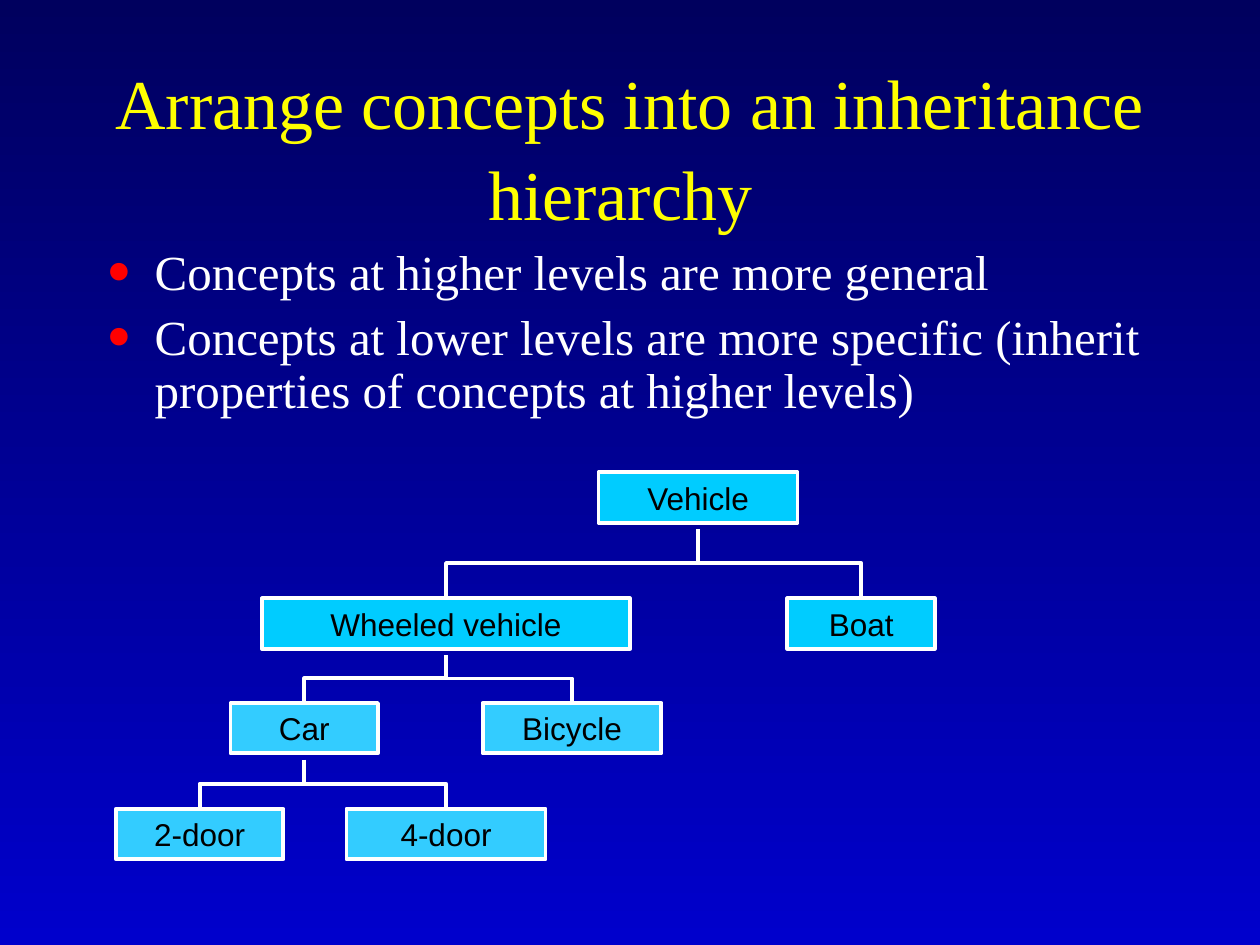
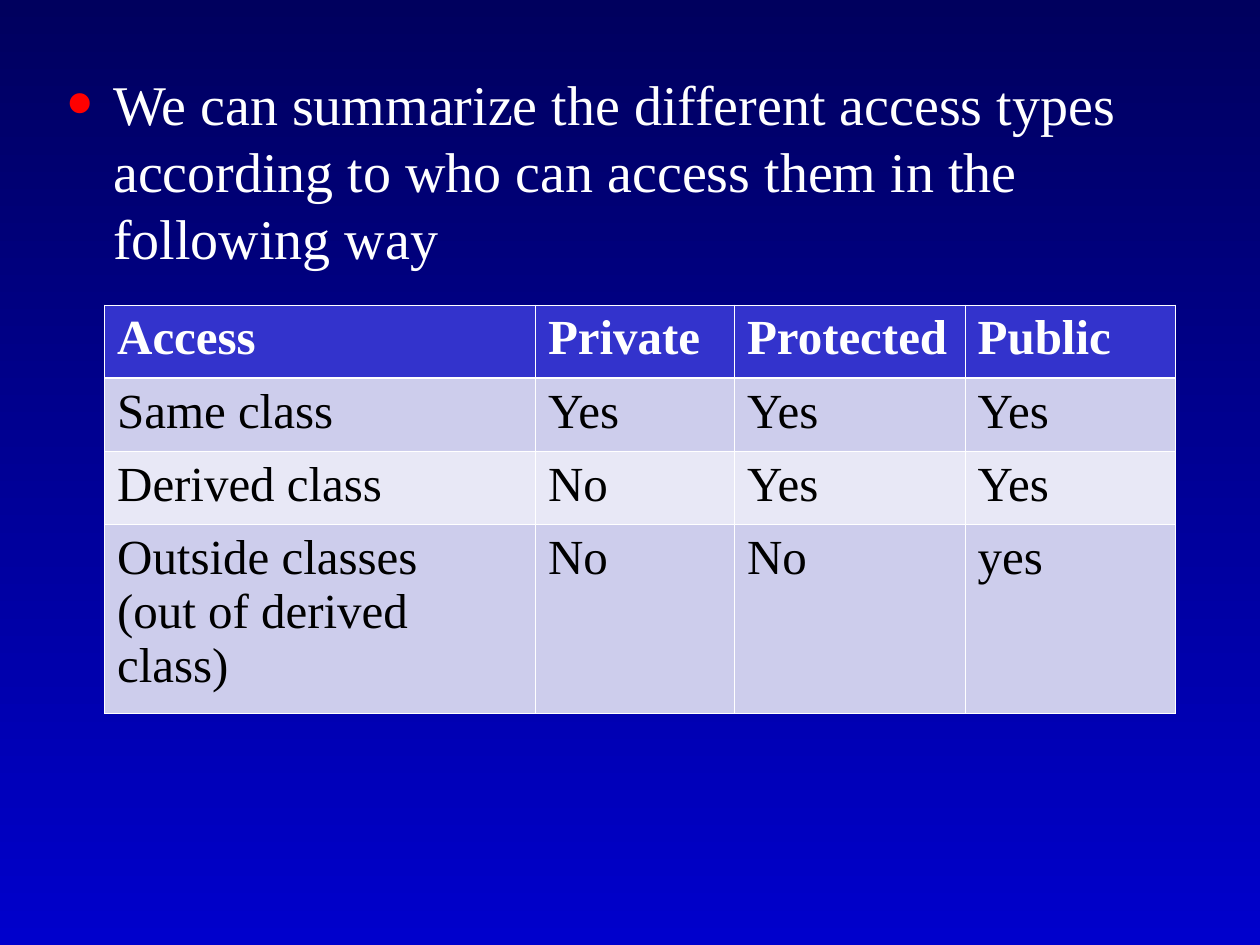
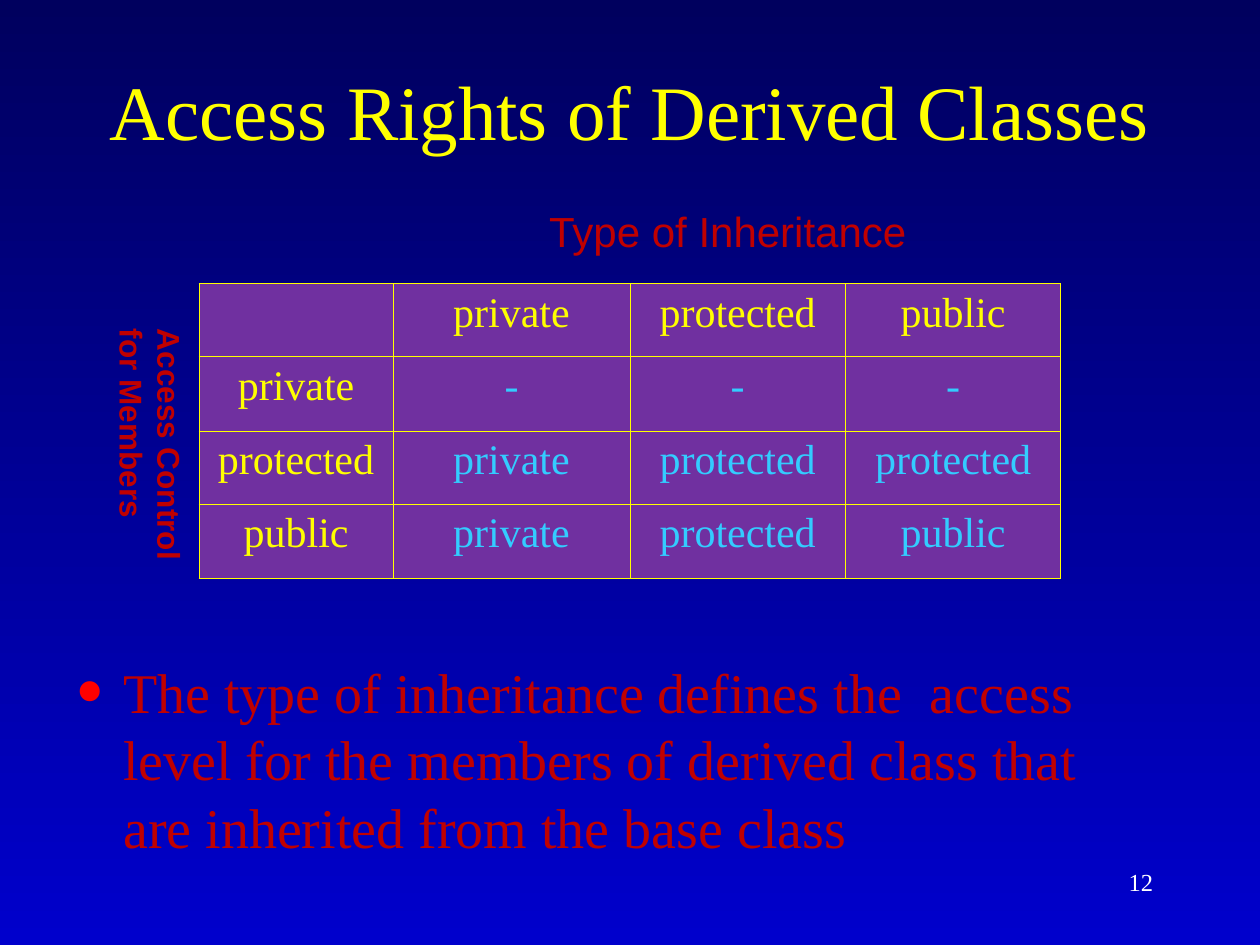
from dataclasses import dataclass

from lxml.etree import SubElement
from pptx import Presentation
from pptx.dml.color import RGBColor
from pptx.enum.shapes import MSO_CONNECTOR as Link, MSO_SHAPE as Preset
from pptx.enum.text import MSO_ANCHOR as Anchor, MSO_AUTO_SIZE as AutoSize, PP_ALIGN as Align
from pptx.oxml.ns import qn
from pptx.util import Inches, Pt


@dataclass(frozen=True)
class Theme:
    serif: str = "Times New Roman"
    sans: str = "Arial"
    sky_top: str = "00005E"
    sky_bottom: str = "0000CC"
    title: str = "FFFF00"
    body: str = "FFFFFF"
    bullet: str = "FF0000"
    accent: str = "C00000"
    ink: str = "000000"
    node_upper: str = "00CCFF"
    node_lower: str = "33CCFF"
    header_fill: str = "3333CC"
    odd_fill: str = "CDCDEC"
    even_fill: str = "E8E8F6"
    rights_fill: str = "7030A0"
    title_size: float = 44
    long_title_size: float = 40
    body_size: float = 32
    small_body_size: float = 28
    rights_size: float = 24
    node_size: float = 18
    number_size: float = 14
    outline: float = 2.25
    hairline: float = 0.45
    header_rule: float = 1.47


THEME = Theme()

TREE_LEVELS = [0, 1, 1.83, 2.67]
TREE_NODES = {
    "Vehicle": (0, 3.83, 1.58),
    "Wheeled vehicle": (1, 1.16, 2.92),
    "Boat": (1, 5.33, 1.17),
    "Car": (2, 0.91, 1.17),
    "Bicycle": (2, 2.91, 1.42),
    "2-door": (3, 0, 1.33),
    "4-door": (3, 1.83, 1.58),
}
TREE_BRANCHES = {
    "Vehicle": ["Wheeled vehicle", "Boat"],
    "Wheeled vehicle": ["Car", "Bicycle"],
    "Car": ["2-door", "4-door"],
}
ACCESS_ROWS = [
    ["Access", "Private", "Protected", "Public"],
    ["Same class", "Yes", "Yes", "Yes"],
    ["Derived class", "No", "Yes", "Yes"],
    ["Outside classes\n(out of derived class)", "No", "No", "yes"],
]
RIGHTS_ROWS = [
    ["", "private", "protected", "public"],
    ["private", "-", "-", "-"],
    ["protected", "private", "protected", "protected"],
    ["public", "private", "protected", "public"],
]


def rgb(colour):
    return RGBColor.from_string(colour)


def style(paragraph, size, colour, face=THEME.serif, bold=False, align=Align.LEFT):
    paragraph.alignment = align
    font = paragraph.font
    font.name, font.size, font.bold = face, Pt(size), bold
    font.color.rgb = rgb(colour)


def write(frame, text, *look, **options):
    frame.text = text
    for paragraph in frame.paragraphs:
        style(paragraph, *look, **options)


def add_frame(slide, box):
    frame = slide.shapes.add_textbox(*map(Inches, box)).text_frame
    frame.word_wrap = True
    return frame


def add_title(slide, box, text, size=THEME.title_size):
    frame = add_frame(slide, box)
    frame.vertical_anchor = Anchor.MIDDLE
    write(frame, text, size, THEME.title, align=Align.CENTER)
    return frame.paragraphs[0]


def add_bullets(slide, box, points, size=THEME.body_size, colour=THEME.body,
                space_before=8, line_spacing=1.0):
    frame = add_frame(slide, box)
    frame.text = "\n".join(points)
    for paragraph in frame.paragraphs:
        paragraph.space_before = Pt(space_before)
        paragraph.line_spacing = line_spacing
        properties = paragraph._p.get_or_add_pPr()
        properties.set("marL", str(Inches(0.38)))
        properties.set("indent", str(-Inches(0.38)))
        SubElement(SubElement(properties, qn("a:buClr")), qn("a:srgbClr"), val=THEME.bullet)
        SubElement(properties, qn("a:buSzPct"), val="150000")
        SubElement(properties, qn("a:buFont"), typeface=THEME.serif)
        SubElement(properties, qn("a:buChar"), char="•")
        style(paragraph, size, colour)


def add_label(slide, box, text, size, bold=False):
    frame = add_frame(slide, box)
    frame.word_wrap = False
    frame.auto_size = AutoSize.SHAPE_TO_FIT_TEXT
    write(frame, text, size, THEME.accent, face=THEME.sans, bold=bold)
    return frame


def add_branch(slide, start, end):
    (x1, y1), (x2, y2) = start, end
    drop, spread = y2 - y1, abs(x2 - x1)
    mid_x, mid_y = (x1 + x2) / 2, (y1 + y2) / 2
    rightward = x2 > x1
    reach = drop / 2 if rightward else -drop / 2
    corners = mid_x + reach, mid_y - spread / 2, mid_x - reach, mid_y + spread / 2
    branch = slide.shapes.add_connector(Link.ELBOW, *map(Inches, corners))
    branch.line.color.rgb = rgb(THEME.body)
    branch.line.width = Pt(THEME.outline)
    properties = branch._element.spPr
    properties.find(qn("a:xfrm")).set("rot", "16200000" if rightward else "5400000")
    SubElement(properties, qn("a:effectLst"))


def add_tree(slide, left, top, node_height=0.4, gap=0.05):
    def centre(name):
        level, offset, width = TREE_NODES[name]
        return left + offset + width / 2, top + TREE_LEVELS[level]

    for name, (level, offset, width) in TREE_NODES.items():
        box = left + offset, top + TREE_LEVELS[level], width, node_height
        node = slide.shapes.add_shape(Preset.RECTANGLE, *map(Inches, box))
        node.shadow.inherit = False
        node.fill.solid()
        node.fill.fore_color.rgb = rgb(THEME.node_upper if level < 2 else THEME.node_lower)
        node.line.color.rgb = rgb(THEME.body)
        node.line.width = Pt(THEME.outline)
        node.text_frame.vertical_anchor = Anchor.MIDDLE
        write(node.text_frame, name, THEME.node_size, THEME.ink,
              face=THEME.sans, align=Align.CENTER)

    for parent, children in TREE_BRANCHES.items():
        x, y = centre(parent)
        for child in children:
            child_x, child_y = centre(child)
            add_branch(slide, (x, y + node_height + gap), (child_x, child_y - 0.01))


def set_borders(cell, colour, widths):
    properties = cell._tc.get_or_add_tcPr()
    for side, width in zip("LRTB", widths):
        edge = SubElement(properties, qn(f"a:ln{side}"), w=str(Pt(width)))
        SubElement(SubElement(edge, qn("a:solidFill")), qn("a:srgbClr"), val=colour)


def add_grid(slide, left, top, widths, heights, rows, paint_cell):
    box = left, top, sum(widths), sum(heights)
    grid = slide.shapes.add_table(len(rows), len(widths), *map(Inches, box)).table
    for column, width in zip(grid.columns, widths):
        column.width = Inches(width)
    for row, height in zip(grid.rows, heights):
        row.height = Inches(height)
    for r, values in enumerate(rows):
        for c, value in enumerate(values):
            paint_cell(grid.cell(r, c), r, c, value)


def fill_cell(cell, colour):
    cell.fill.solid()
    cell.fill.fore_color.rgb = rgb(colour)


def paint_access(cell, r, c, value):
    above = THEME.header_rule if r == 1 else THEME.hairline
    below = THEME.header_rule if r == 0 else THEME.hairline
    set_borders(cell, THEME.body, (THEME.hairline, THEME.hairline, above, below))
    fill_cell(cell, [THEME.header_fill, THEME.odd_fill, THEME.even_fill, THEME.odd_fill][r])
    write(cell.text_frame, value, THEME.small_body_size,
          THEME.ink if r else THEME.body, bold=r == 0)


def paint_rights(cell, r, c, value):
    set_borders(cell, THEME.title, [THEME.hairline] * 4)
    fill_cell(cell, THEME.rights_fill)
    write(cell.text_frame, value, THEME.rights_size,
          THEME.node_lower if r and c else THEME.title, align=Align.CENTER)


def hierarchy_slide(slide):
    title = add_title(slide, (0.75, 0.42, 8.5, 1.5),
                      "Arrange concepts into an inheritance hierarchy", THEME.long_title_size)
    ending = title.add_run()
    ending.text = " "
    ending.font.size = Pt(THEME.title_size)
    add_bullets(slide, (0.75, 1.92, 8.5, 1.58), [
        "Concepts at higher levels are more general",
        "Concepts at lower levels are more specific (inherit properties of concepts at higher levels)",
    ], THEME.small_body_size, space_before=7, line_spacing=0.9)
    add_tree(slide, 0.92, 3.75)


def access_slide(slide):
    add_bullets(slide, (0.42, 0.5, 9.25, 6.17), [
        "We can summarize the different access types according to who can access them "
        "in the following way",
    ])
    add_grid(slide, 0.83, 2.42, [3.42, 1.58, 1.83, 1.67], [0.58] * 3 + [1.5],
             ACCESS_ROWS, paint_access)


def rights_slide(slide):
    number = add_frame(slide, (7.17, 6.83, 2.08, 0.5))
    write(number, "12", THEME.number_size, THEME.body, align=Align.RIGHT)
    add_bullets(slide, (0.5, 5.17, 8.75, 2.75), [
        "The type of inheritance defines the  access level for the members of derived class "
        "that are inherited from the base class",
    ], colour=THEME.accent)
    add_title(slide, (0.75, 0.33, 8.5, 1.08), "Access Rights of Derived Classes")
    add_grid(slide, 1.58, 2.25, [1.54, 1.88, 1.71, 1.71], [0.58, 0.59] * 2,
             RIGHTS_ROWS, paint_rights)
    add_label(slide, (4.26, 1.58, 3.05, 0.5), "Type of Inheritance", THEME.rights_size)
    members = add_label(slide, (0.75, 2.51, 0.8, 1.94), "Access Control\nfor Members",
                        THEME.node_size, bold=True)
    members.margin_left = members.margin_right = Inches(0.05)
    members.margin_top = members.margin_bottom = Inches(0.1)
    members._txBody.bodyPr.set("vert", "eaVert")


def paint_background(master):
    fill = master.background.fill
    fill.gradient()
    fill.gradient_angle = 270
    for stop, colour in zip(fill.gradient_stops, (THEME.sky_top, THEME.sky_bottom)):
        stop.color.rgb = rgb(colour)


def main():
    deck = Presentation()
    deck.slide_width, deck.slide_height = Inches(10), Inches(7.5)
    paint_background(deck.slide_master)
    for build in (hierarchy_slide, access_slide, rights_slide):
        build(deck.slides.add_slide(deck.slide_layouts[6]))
    deck.save("out.pptx")


if __name__ == "__main__":
    main()
